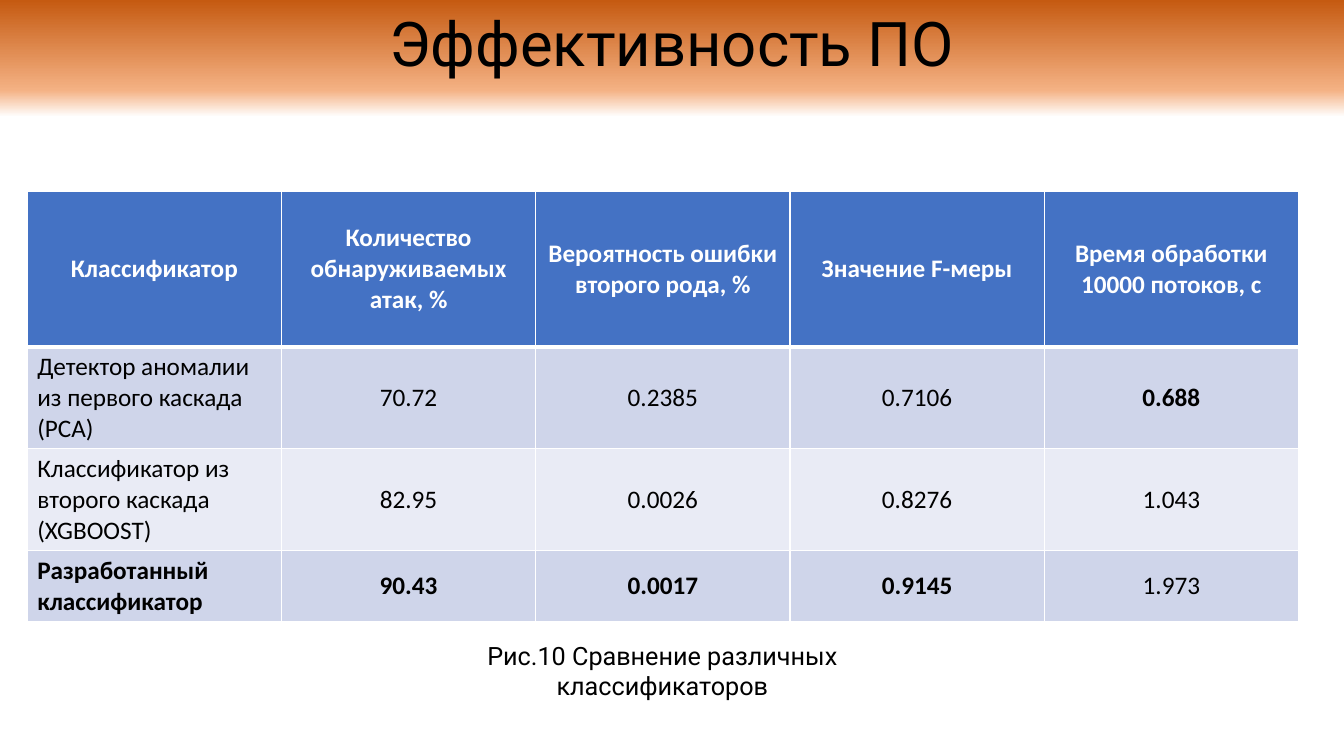
from copy import deepcopy

from pptx import Presentation
from pptx.dml.color import RGBColor
from pptx.enum.shapes import MSO_SHAPE as Shape
from pptx.enum.text import MSO_ANCHOR as Anchor, PP_ALIGN as Align
from pptx.oxml import parse_xml
from pptx.oxml.ns import nsdecls, qn
from pptx.util import Inches, Pt

WHITE, BLACK, BLUE = "FFFFFF", "000000", "4472C4"
BANDS = ("CFD5EA", "E9EBF5")
GRADE = ((0, "C55A11"), (0.77, "F4B183"), (1, WHITE))
HEIGHTS = (1.54, 1.01, 1.01, 0.71)
ROWS = (
    ("Классификатор", "Количество обнаруживаемых атак, %",
     "Вероятность ошибки второго рода, %", "Значение F-меры",
     "Время обработки 10000 потоков, с"),
    ("Детектор аномалии из первого каскада (PCA)",
     "70.72", "0.2385", "0.7106", "0.688"),
    ("Классификатор из второго каскада (XGBOOST)",
     "82.95", "0.0026", "0.8276", "1.043"),
    ("Разработанный классификатор",
     "90.43", "0.0017", "0.9145", "1.973"),
)
BOLD = {(1, 4), (3, 0), (3, 1), (3, 2), (3, 3)}


def rgb(code):
    return RGBColor.from_string(code)


def style(item, **values):
    for name, value in values.items():
        setattr(item, name, value)


def write(frame, text, size, face, color=BLACK, bold=False, align=Align.CENTER):
    """Put one styled paragraph in the frame and return it."""
    para = frame.paragraphs[0]
    para.alignment = align
    run = para.add_run()
    run.text = text
    style(run.font, size=Pt(size), name=face, bold=bold)
    run.font.color.rgb = rgb(color)
    return para


def label(slide, box, text, size, anchor):
    frame = slide.shapes.add_textbox(*map(Inches, box)).text_frame
    style(frame, word_wrap=True, vertical_anchor=anchor)
    return write(frame, text, size, "Roboto")


def header(slide, box, text):
    """Draw the gradient band with the title in its upper part."""
    left, top, width, height = box
    band = slide.shapes.add_shape(Shape.RECTANGLE, *map(Inches, box))
    band.shadow.inherit = False
    band.line.fill.background()
    band.fill.gradient()
    band.fill.gradient_angle = 270
    stops = band.element.spPr.find(qn("a:gradFill")).find(qn("a:gsLst"))
    stops.append(deepcopy(stops[-1]))
    for stop, (place, color) in zip(band.fill.gradient_stops, GRADE):
        stop.position = place
        stop.color.rgb = rgb(color)
    title = label(slide, (left, top + 0.06, width, 0.8), text, 44, Anchor.MIDDLE)
    title.line_spacing = 0.9


def edge(cell, head):
    """Add white borders, with a thick one below the head row."""
    props = cell._tc.get_or_add_tcPr()
    for spot, side in enumerate(("lnL", "lnR", "lnT", "lnB")):
        wide = Pt(3 if head and side == "lnB" else 1)
        props.insert(spot, parse_xml(
            f'<a:{side} {nsdecls("a")} w="{wide}"><a:solidFill>'
            f'<a:srgbClr val="{WHITE}"/></a:solidFill></a:{side}>'))


def results(slide, box):
    left, top, width, height = map(Inches, box)
    count = len(ROWS[0])
    table = slide.shapes.add_table(
        len(ROWS), count, left, top, width, height).table
    for col in table.columns:
        col.width = width // count
    for row, tall in zip(table.rows, HEIGHTS):
        row.height = Inches(tall)
    for r, texts in enumerate(ROWS):
        head = r == 0
        for c, text in enumerate(texts):
            cell = table.cell(r, c)
            cell.vertical_anchor = Anchor.MIDDLE
            cell.fill.solid()
            cell.fill.fore_color.rgb = rgb(BLUE if head else BANDS[(r - 1) % 2])
            edge(cell, head)
            write(cell.text_frame, text, 18, "Calibri",
                  WHITE if head else BLACK, head or (r, c) in BOLD,
                  Align.CENTER if head or c else Align.LEFT)


def main():
    deck = Presentation()
    style(deck, slide_width=Inches(13.33), slide_height=Inches(7.5))
    slide = deck.slides.add_slide(deck.slide_layouts[6])
    header(slide, (0, 0, 13.33, 1.16), "Эффективность ПО")
    results(slide, (0.27, 1.9, 12.61, sum(HEIGHTS)))
    label(slide, (3.71, 6.3, 5.72, 0.4),
          "Рис.10 Сравнение различных классификаторов", 18, Anchor.TOP)
    deck.save("out.pptx")


if __name__ == "__main__":
    main()
